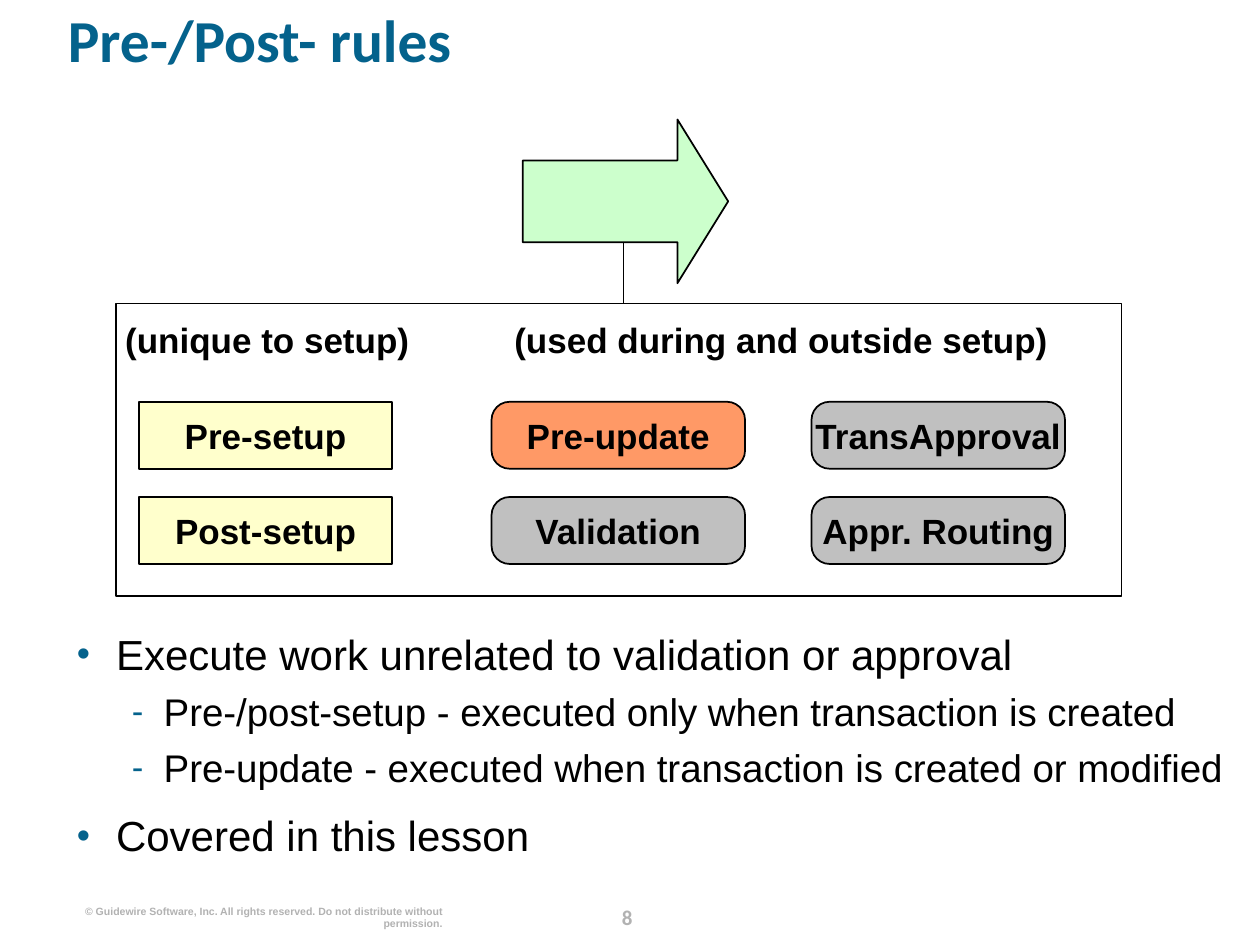
from dataclasses import dataclass

from lxml import etree
from pptx import Presentation
from pptx.dml.color import RGBColor
from pptx.enum.shapes import MSO_CONNECTOR, MSO_SHAPE
from pptx.enum.text import MSO_ANCHOR, PP_ALIGN
from pptx.oxml.ns import qn
from pptx.util import Cm, Pt

RECTANGLE = MSO_SHAPE.RECTANGLE
ROUNDED = MSO_SHAPE.ROUNDED_RECTANGLE
RIGHT_ARROW = MSO_SHAPE.RIGHT_ARROW
STRAIGHT = MSO_CONNECTOR.STRAIGHT
LEFT, CENTER, RIGHT = PP_ALIGN.LEFT, PP_ALIGN.CENTER, PP_ALIGN.RIGHT
TOP, MIDDLE = MSO_ANCHOR.TOP, MSO_ANCHOR.MIDDLE


@dataclass(frozen=True)
class Theme:
    black: str = "000000"
    blue: str = "04628C"
    footer: str = "B2B2B2"
    yellow: str = "FFFFCC"
    orange: str = "FF9966"
    gray: str = "C0C0C0"
    green: str = "CCFFCC"
    heading_font: str = "Calibri"
    body_font: str = "Arial"
    title_size: int = 34
    bullet_size: int = 24
    sub_bullet_size: int = 22
    label_size: int = 20
    number_size: int = 12
    copyright_size: int = 6


THEME = Theme()


@dataclass(frozen=True)
class Box:
    """A region in centimetres."""
    left: float
    top: float
    width: float
    height: float

    def inner(self, left, top, width, height):
        return Box(self.left + left, self.top + top, width, height)

    def lengths(self):
        return Cm(self.left), Cm(self.top), Cm(self.width), Cm(self.height)


def prepare_frame(shape, anchor=TOP, wrap=True):
    frame = shape.text_frame
    frame.margin_left = frame.margin_right = 0
    frame.margin_top = frame.margin_bottom = 0
    frame.word_wrap = wrap
    frame.vertical_anchor = anchor
    return frame


def write(paragraph, text, size, color=THEME.black, font=THEME.body_font,
          bold=False, align=LEFT, line_spacing=None, space_before=0):
    paragraph.text = text
    paragraph.alignment = align
    paragraph.space_before = Pt(space_before)
    if line_spacing is not None:
        paragraph.line_spacing = line_spacing
    paragraph.font.name = font
    paragraph.font.size = Pt(size)
    paragraph.font.bold = bold
    paragraph.font.color.rgb = RGBColor.from_string(color)


def add_text(slide, box, text, size, **text_format):
    text_box = slide.shapes.add_textbox(*box.lengths())
    write(prepare_frame(text_box).paragraphs[0], text, size, **text_format)


def add_shape(slide, kind, box, fill=None):
    shape = slide.shapes.add_shape(kind, *box.lengths())
    shape.shadow.inherit = False
    if fill:
        shape.fill.solid()
        shape.fill.fore_color.rgb = RGBColor.from_string(fill)
    else:
        shape.fill.background()
    shape.line.color.rgb = RGBColor.from_string(THEME.black)
    shape.line.width = Pt(1)
    return shape


def add_line(slide, start, end):
    line = slide.shapes.add_connector(STRAIGHT, *map(Cm, start + end))
    line.line.color.rgb = RGBColor.from_string(THEME.black)
    line.line.width = Pt(1)
    etree.SubElement(line._element.spPr, qn("a:effectLst"))


def add_bullet(paragraph, character, margin, indent):
    properties = paragraph._p.get_or_add_pPr()
    properties.set("marL", str(Cm(margin)))
    properties.set("indent", str(Cm(-indent)))
    color = etree.SubElement(properties, qn("a:buClr"))
    etree.SubElement(color, qn("a:srgbClr"), val=THEME.blue)
    etree.SubElement(properties, qn("a:buSzPct"), val="90000")
    etree.SubElement(properties, qn("a:buFont"), typeface=THEME.body_font)
    etree.SubElement(properties, qn("a:buChar"), char=character)


def draw_title(slide, box):
    add_text(slide, box, "Pre-/Post- rules", THEME.title_size,
             color=THEME.blue, font=THEME.heading_font, bold=True,
             line_spacing=0.8)


def draw_setup_arrow(slide, box, panel):
    """Arrow tied to the top edge of the rules panel."""
    middle = panel.left + 10.23
    add_line(slide, (middle, panel.top), (middle, box.top + box.height * 0.75))
    arrow = add_shape(slide, RIGHT_ARROW, box, THEME.green)
    arrow.adjustments[0] = 0.5
    arrow.adjustments[1] = 0.31


def draw_rules_panel(slide, box):
    add_shape(slide, RECTANGLE, box)
    for text, left, width in (("(unique to setup)", 0, 6.1),
                              ("(used during and outside setup)", 7.82, 11.18)):
        add_text(slide, box.inner(left, 0.3, width, 0.84), text,
                 THEME.label_size, bold=True, align=CENTER)

    columns = (
        (0.46, RECTANGLE, (("Pre-setup", THEME.yellow),
                           ("Post-setup", THEME.yellow))),
        (7.57, ROUNDED, (("Pre-update", THEME.orange),
                         ("Validation", THEME.gray))),
        (14.02, ROUNDED, (("TransApproval", THEME.gray),
                          ("Appr. Routing", THEME.gray))),
    )
    for left, kind, rules in columns:
        for row, (name, fill) in enumerate(rules):
            rule_box = box.inner(left, 1.98 + row * 1.92, 5.11, 1.35)
            rule = add_shape(slide, kind, rule_box, fill)
            if kind == ROUNDED:
                rule.adjustments[0] = 0.27
            frame = prepare_frame(rule, anchor=MIDDLE, wrap=False)
            write(frame.paragraphs[0], name, THEME.label_size,
                  bold=True, align=CENTER)


def draw_bullets(slide, box):
    items = (
        (0, "Execute work unrelated to validation or approval"),
        (1, "Pre-/post-setup - executed only when transaction is created"),
        (1, "Pre-update - executed when transaction is created or modified"),
        (0, "Covered in this lesson"),
    )
    levels = (("•", 0.79, 0.79, THEME.bullet_size, 11),
              ("-", 1.75, 0.64, THEME.sub_bullet_size, 5.5))
    frame = prepare_frame(slide.shapes.add_textbox(*box.lengths()))
    for index, (level, text) in enumerate(items):
        character, margin, indent, size, gap = levels[level]
        paragraph = frame.add_paragraph() if index else frame.paragraphs[0]
        paragraph.level = level
        add_bullet(paragraph, character, margin, indent)
        write(paragraph, text, size, space_before=gap if index else 0)


def draw_footer(slide, box):
    add_text(slide, box.inner(0, 0.13, 7.37, 0.5),
             "© Guidewire Software, Inc. All rights reserved. "
             "Do not distribute without permission.",
             THEME.copyright_size, color=THEME.footer, bold=True, align=RIGHT)
    add_text(slide, box.inner(10.37, 0, 1.45, 0.64), "8", THEME.number_size,
             color=THEME.footer, font=THEME.heading_font, bold=True,
             align=CENTER, line_spacing=Pt(18))


def main():
    presentation = Presentation()
    presentation.slide_width, presentation.slide_height = Cm(25.4), Cm(19.05)
    slide = presentation.slides.add_slide(presentation.slide_layouts[6])
    panel = Box(2.34, 6.12, 20.27, 5.89)
    draw_footer(slide, Box(1.55, 18.11, 23.11, 0.64))
    draw_title(slide, Box(1.37, 0.33, 23.11, 2.06))
    draw_bullets(slide, Box(1.55, 12.67, 23.11, 5.03))
    draw_rules_panel(slide, panel)
    draw_setup_arrow(slide, Box(10.54, 2.41, 4.14, 3.3), panel)
    presentation.save("out.pptx")


if __name__ == "__main__":
    main()
